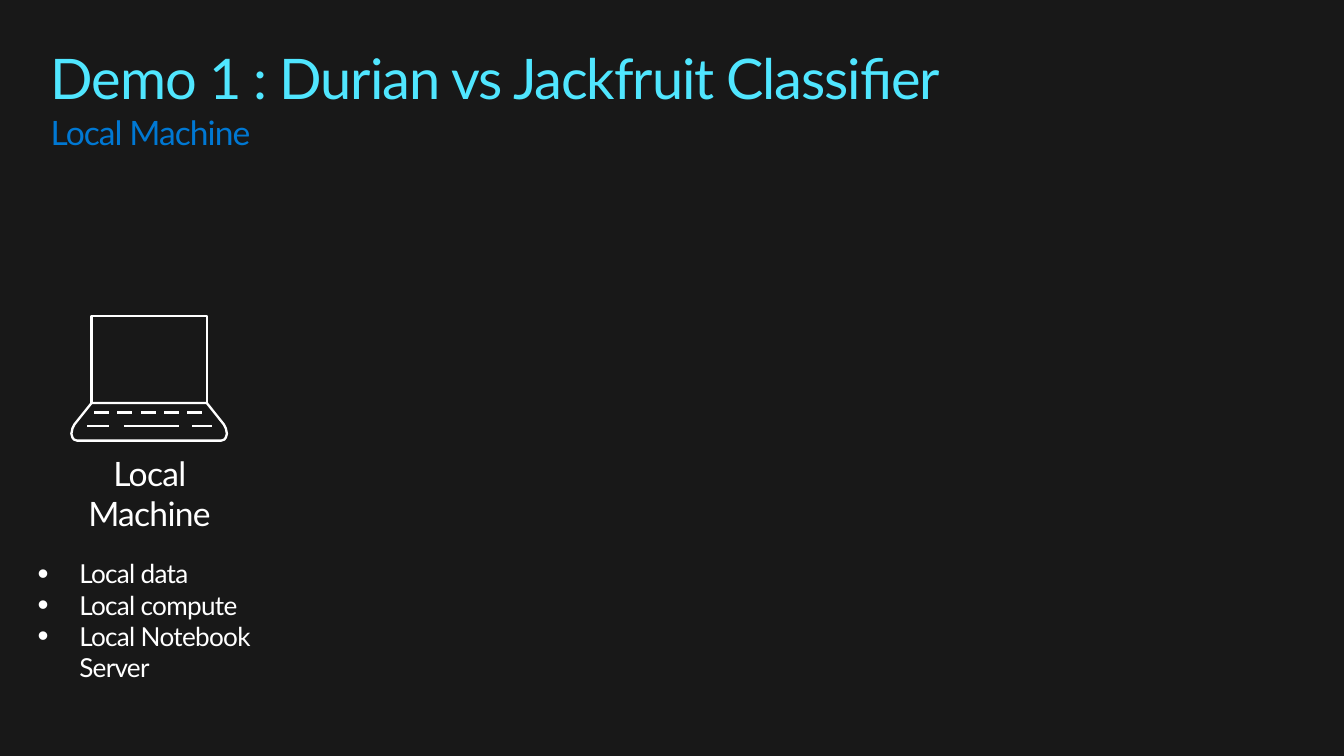
from lxml import etree
from pptx import Presentation
from pptx.dml.color import RGBColor
from pptx.enum.shapes import MSO_CONNECTOR
from pptx.enum.text import MSO_ANCHOR, PP_ALIGN
from pptx.oxml.ns import qn
from pptx.util import Cm, Pt

LINE = MSO_CONNECTOR.STRAIGHT
TOP = MSO_ANCHOR.TOP
LEFT, MID = PP_ALIGN.LEFT, PP_ALIGN.CENTER

THEME = {
    "font": "Lato", "back": "181818", "stroke": 1.25,
    "title": (30, "50E6FF", -60),
    "sub": (18, "0078D3", -50),
    "label": (18, "FFFFFF", -40),
    "item": (14, "FFFFFF", -40),
}

TITLE = "Demo 1 : Durian vs Jackfruit Classifier"
SUB = "Local Machine"
LABEL = "Local Machine"
ITEMS = ["Local data", "Local compute", "Local Notebook Server"]

BOXES = {
    "title": (0.96, 0.96, 23.5, 1.14),
    "sub": (0.96, 2.11, 23.5, 1.42),
    "label": (1.35, 8.31, 2.95, 1.14),
    "item": (0.71, 10.29, 4.95, 1.14),
}

AXIS = 2.82
SCREEN = [(1.73, 7.62), (1.73, 5.97)]
BASE = [(1.73, 7.62), (1.41, 8.02), (1.37, 8.1), (1.35, 8.2),
        (1.37, 8.27), (1.4, 8.31), (1.46, 8.33)]
KEYS = [(1.78 + 0.44 * i, 2.06 + 0.44 * i, 7.8) for i in range(5)]
SPACE = [(1.65, 2.06, 8.05), (2.34, 3.38, 8.05), (3.63, 4.01, 8.05)]


def color(name):
    return RGBColor.from_string(name)


def write(shape, kind, lines, align=LEFT, inset=0, dots=False):
    size, ink, gap = THEME[kind]
    shape.left, shape.top, shape.width, shape.height = map(Cm, BOXES[kind])
    frame = shape.text_frame
    frame.word_wrap = True
    frame.vertical_anchor = TOP
    frame.margin_left = frame.margin_right = frame.margin_bottom = 0
    frame.margin_top = Cm(inset)
    for i, line in enumerate(lines):
        para = frame.paragraphs[0] if i == 0 else frame.add_paragraph()
        para.alignment = align
        para.space_before = Pt(0)
        if dots:
            bullet(para, ink)
        run = para.add_run()
        run.text = line
        run.font.name = THEME["font"]
        run.font.size = Pt(size)
        run.font.color.rgb = color(ink)
        run._r.get_or_add_rPr().set("spc", str(gap))
    return frame


def bullet(para, ink):
    props = para._p.get_or_add_pPr()
    props.set("marL", str(Cm(0.79)))
    props.set("indent", str(-Cm(0.79)))
    tint = etree.SubElement(props, qn("a:buClr"))
    etree.SubElement(tint, qn("a:srgbClr"), val=ink)
    etree.SubElement(props, qn("a:buSzPct"), val="120000")
    etree.SubElement(props, qn("a:buFont"), typeface="Arial")
    etree.SubElement(props, qn("a:buChar"), char="•")


def stroke(shape):
    shape.line.color.rgb = color(THEME["label"][1])
    shape.line.width = Pt(THEME["stroke"])


def mirror(half):
    full = half + [(2 * AXIS - x, y) for x, y in reversed(half)]
    return [(Cm(x), Cm(y)) for x, y in full]


def laptop(shapes):
    screen, base = mirror(SCREEN), mirror(BASE)
    pen = shapes.build_freeform(*screen[0], scale=1.0)
    pen.add_line_segments(screen[1:], close=True)
    pen.move_to(*base[0])
    pen.add_line_segments(base[1:], close=True)
    body = pen.convert_to_shape()
    body.fill.background()
    body.shadow.inherit = False
    stroke(body)
    for start, end, y in KEYS + SPACE:
        key = shapes.add_connector(LINE, Cm(start), Cm(y), Cm(end), Cm(y))
        stroke(key)
        etree.SubElement(key._element.spPr, qn("a:effectLst"))


def main():
    deck = Presentation()
    deck.slide_width, deck.slide_height = Cm(25.4), Cm(14.29)
    slide = deck.slides.add_slide(deck.slide_layouts[5])
    fill = slide.background.fill
    fill.solid()
    fill.fore_color.rgb = color(THEME["back"])
    shapes = slide.shapes

    def box():
        return shapes.add_textbox(0, 0, Cm(1), Cm(1))

    head = write(shapes.title, "title", [TITLE])
    head.paragraphs[0].line_spacing = 0.9
    write(box(), "sub", [SUB])
    laptop(shapes.add_group_shape().shapes)
    write(box(), "label", [LABEL], align=MID, inset=0.25)
    write(box(), "item", ITEMS, inset=0.25, dots=True)
    deck.save("out.pptx")


if __name__ == "__main__":
    main()
